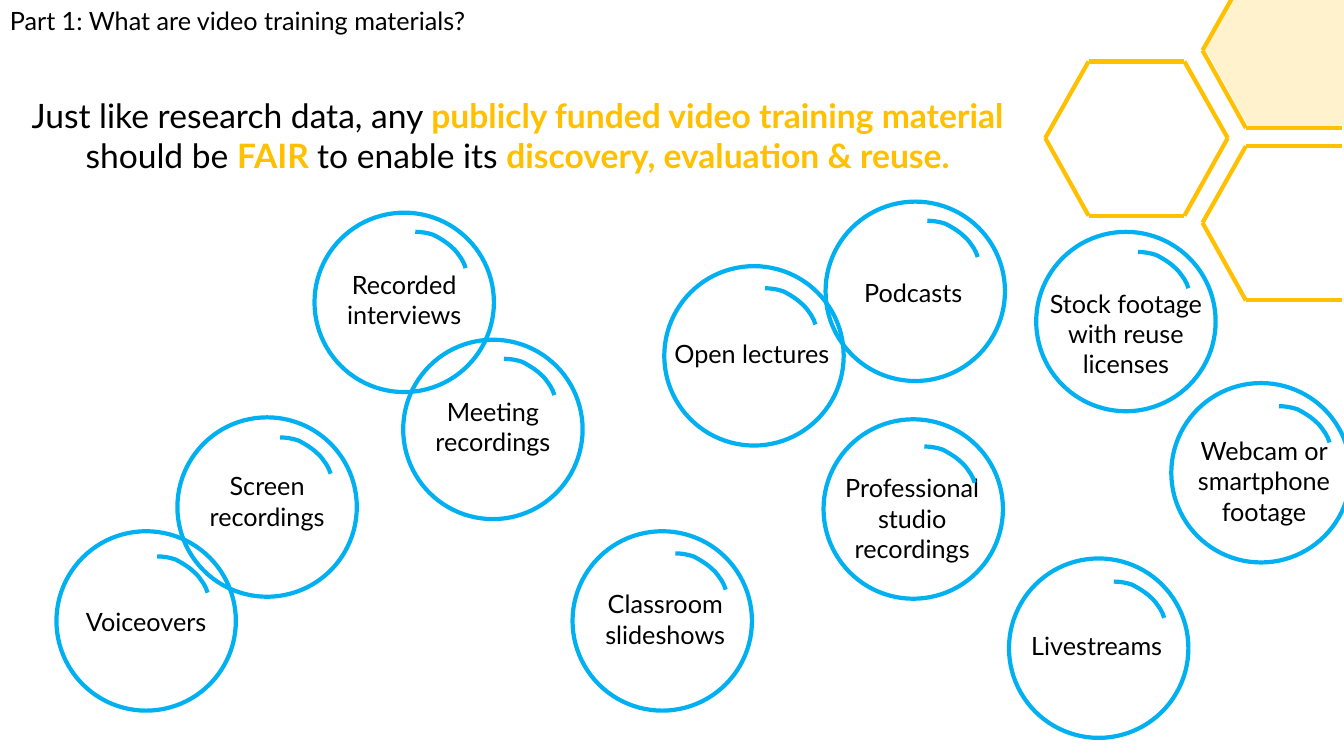
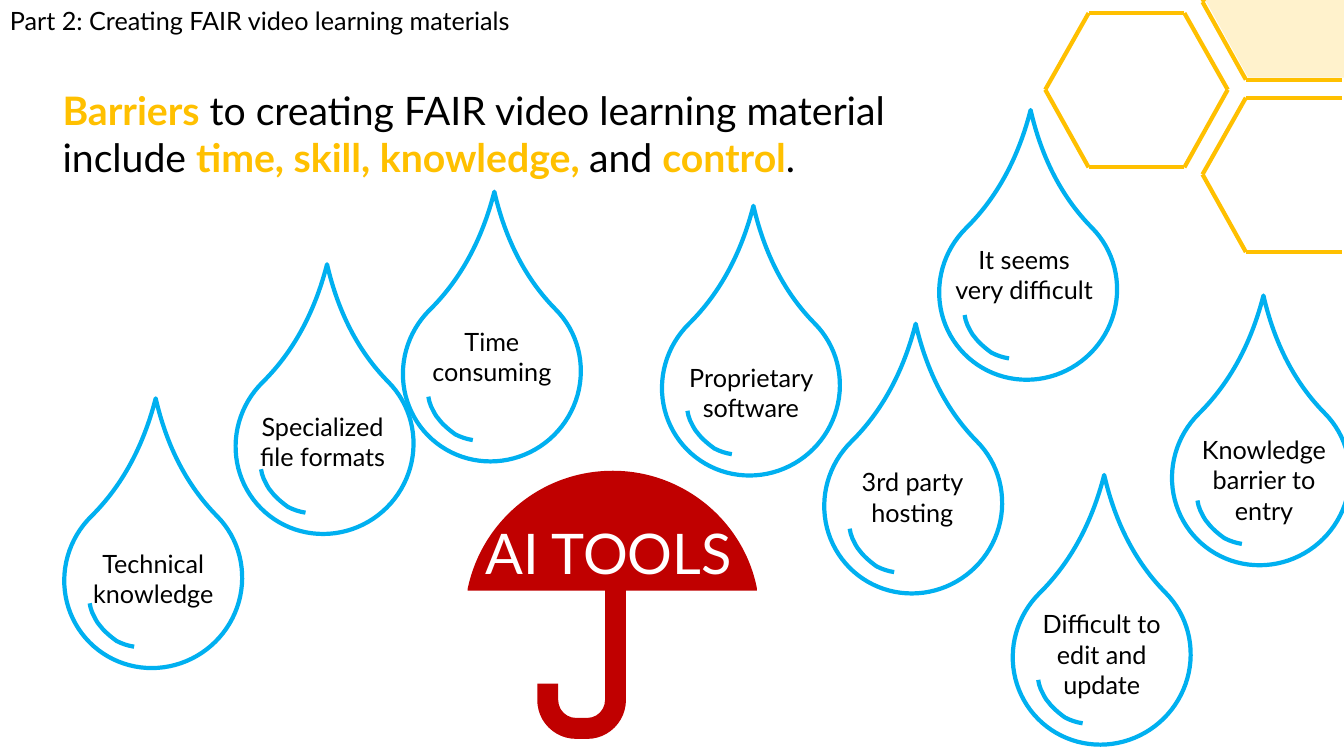
import lxml.etree
import pptx
import pptx.dml.color
import pptx.enum.shapes
import pptx.enum.text
import pptx.oxml.ns
import pptx.util

Inches = pptx.util.Inches
RGBColor = pptx.dml.color.RGBColor
qn = pptx.oxml.ns.qn
SHAPE = pptx.enum.shapes.MSO_SHAPE
ALIGN = pptx.enum.text.PP_ALIGN
AUTO = pptx.enum.text.MSO_AUTO_SIZE

BLACK = RGBColor(0x00, 0x00, 0x00)
WHITE = RGBColor(0xFF, 0xFF, 0xFF)
GOLD = RGBColor(0xFF, 0xC0, 0x00)
CREAM = RGBColor(0xFF, 0xF2, 0xCC)
BLUE = RGBColor(0x00, 0xB0, 0xF0)
RED = RGBColor(0xC0, 0x00, 0x00)

FONT = "Lato"
LINE_WIDTH = 3
BUBBLE = 1.78
DROP_W, DROP_H = 1.78, 1.75
DROP_LABEL_W = 1.59

# Outlines in inches: a start, then segments of one point (line)
# or three points (cubic curve)
GLINT = ((0, 0), [
    [(0.06, 0), (0.12, 0.01), (0.18, 0.03)],
    [(0.24, 0.06), (0.32, 0.11), (0.36, 0.15)],
    [(0.41, 0.19), (0.43, 0.23), (0.46, 0.27)],
    [(0.48, 0.3), (0.49, 0.33), (0.5, 0.36)],
])
CANOPY = ((1.44, 0), [
    [(2.14, 0), (2.74, 0.5), (2.87, 1.17)],
    [(2.87, 1.19)],
    [(0, 1.19)],
    [(0, 1.17)],
    [(0.14, 0.5), (0.73, 0), (1.44, 0)],
])

# Hexagon corners clockwise from top left, relative to its box
HEX_CORNERS = [(0.43, 0), (1.38, 0), (1.81, 0.76),
               (1.38, 1.53), (0.43, 1.53), (0, 0.76)]
# Left, offset from the comb's top, and the edges that are drawn
HEXAGONS = [(11.93, -0.87, (3, 4, 5)),
            (11.93, 0.84, (0, 3, 4, 5)),
            (10.37, 0, range(6))]

# Text, left, top, label offset right and down, glint offset right and down
BUBBLES = [
    ("Open lectures", 6.59, 2.64, -0.02, 0.67, 1, 0.22),
    ("Meeting recordings", 4, 3.37, 0, 0.51, 1, 0.19),
    ("Podcasts", 8.19, 2, -0.02, 0.7, 1.01, 0.19),
    ("Stock footage with reuse licenses", 10.28, 2.3, 0, 0.51, 1.01, 0.2),
    ("Screen recordings", 1.76, 4.14, 0, 0.48, 1.02, 0.2),
    ("Voiceovers", 0.56, 5.27, 0, 0.7, 1, 0.25),
    ("Webcam or smartphone footage", 11.62, 3.8, 0.03, 0.47, 1.07, 0.23),
    ("Classroom slideshows", 5.68, 5.27, 0.03, 0.52, 1.02, 0.22),
    ("Livestreams", 10.01, 5.54, -0.02, 0.66, 1.04, 0.23),
    ("Professional studio recordings", 8.17, 4.16, -0.01, 0.48, 1, 0.27),
    ("Recorded interviews", 3.12, 2.11, 0, 0.51, 1, 0.19),
]

# Text, left, top, label offset right and down
DROPS = [
    ("Time consuming", 3.99, 2.82, 0, 0.37),
    ("Proprietary software", 6.56, 2.96, 0, 0.58),
    ("3rd party hosting", 8.17, 4.13, -0.01, 0.45),
    ("Specialized file formats", 2.33, 3.54, -0.02, 0.49),
    ("Technical knowledge", 0.63, 4.87, 0, 0.52),
    ("It seems very difficult", 9.31, 2.01, -0.04, 0.36),
    ("Knowledge barrier to entry", 11.62, 3.85, 0.03, 0.41),
    ("Difficult to edit and update", 10.04, 5.63, 0, 0.36),
]


def write(tf, runs, size, align=ALIGN.LEFT):
    """Fill a text frame with (text, colour, bold) runs."""
    tf.word_wrap = True
    p = tf.paragraphs[0]
    p.alignment = align
    for text, colour, bold in runs:
        r = p.add_run()
        r.text = text
        values = {"name": FONT, "size": pptx.util.Pt(size), "bold": bold}
        for key, value in values.items():
            setattr(r.font, key, value)
        r.font.color.rgb = colour


def add_text(shapes, box, text, size=18, colour=BLACK, align=ALIGN.CENTER):
    sp = shapes.add_textbox(*map(Inches, box))
    write(sp.text_frame, [(text, colour, False)], size, align)
    sp.text_frame.auto_size = AUTO.SHAPE_TO_FIT_TEXT


def paint(sp, fill=None, line=None):
    sp.shadow.inherit = False
    if fill is None:
        sp.fill.background()
    else:
        sp.fill.solid()
        sp.fill.fore_color.rgb = fill
    if line is None:
        sp.line.fill.background()
    else:
        sp.line.color.rgb = line
        sp.line.width = pptx.util.Pt(LINE_WIDTH)


def add_preset(shapes, kind, box, fill=None, line=None, rotation=0, adjust=()):
    sp = shapes.add_shape(kind, *map(Inches, box))
    for i, value in enumerate(adjust):
        sp.adjustments[i] = value
    sp.rotation = rotation
    paint(sp, fill, line)


def add_outline(shapes, outline, x, y, fill=None, line=None, rotation=0):
    """Draw an outline at (x, y), turning three-point segments into curves."""
    start, segments = outline
    points = [start] + [point for segment in segments for point in segment]
    emu = [(Inches(x + px), Inches(y + py)) for px, py in points]
    builder = shapes.build_freeform(*emu[0])
    builder.add_line_segments(emu[1:], close=fill is not None)
    sp = builder.convert_to_shape()
    steps = iter(list(sp._element.iter(qn("a:lnTo"))))
    for segment in segments:
        first, *others = [next(steps) for _ in segment]
        if others:
            first.tag = qn("a:cubicBezTo")
        for step in others:
            first.append(step[0])
            step.getparent().remove(step)
    sp.rotation = rotation
    paint(sp, fill, line)


def add_heading(s, part, part_w, box, runs, size, align=ALIGN.LEFT):
    """Running part name at the top and the statement as slide title."""
    add_text(s.shapes, (0, 0, part_w, 0.4), part, align=ALIGN.LEFT)
    title = s.shapes.title
    for key, value in zip(("left", "top", "width", "height"), box):
        setattr(title, key, Inches(value))
    tf = title.text_frame
    tf.vertical_anchor = pptx.enum.text.MSO_ANCHOR.TOP
    tf.auto_size = AUTO.NONE
    write(tf, [(text, GOLD if strong else BLACK, strong)
               for text, strong in runs], size, align)


def add_honeycomb(s, top):
    add_preset(s.shapes, SHAPE.HEXAGON, (11.96, top - 0.89, 1.82, 1.53),
               fill=CREAM, adjust=(0.277,))
    for left, dy, edges in HEXAGONS:
        shapes = s.shapes.add_group_shape().shapes
        corners = [(Inches(left + x), Inches(top + dy + y))
                   for x, y in HEX_CORNERS]
        for i in edges:
            c = shapes.add_connector(
                pptx.enum.shapes.MSO_CONNECTOR.STRAIGHT,
                *corners[i], *corners[(i + 1) % 6])
            c.line.color.rgb = GOLD
            c.line.width = pptx.util.Pt(LINE_WIDTH)
            lxml.etree.SubElement(c._element.spPr, qn("a:effectLst"))


def add_bubble(s, text, x, y, label_dx, label_dy, glint_dx, glint_dy):
    shapes = s.shapes.add_group_shape().shapes
    add_text(shapes, (x + label_dx, y + label_dy, BUBBLE, 0.71), text)
    add_preset(shapes, SHAPE.OVAL, (x, y, BUBBLE, BUBBLE), line=BLUE)
    add_outline(shapes, GLINT, x + glint_dx, y + glint_dy, line=BLUE)


def add_drop(s, text, x, y, label_dx, label_dy):
    shapes = s.shapes.add_group_shape().shapes
    label_x = x + (DROP_W - DROP_LABEL_W) / 2 + label_dx
    add_text(shapes, (label_x, y + label_dy, DROP_LABEL_W, 0.71), text)
    add_outline(shapes, GLINT, x + 0.23, y + 1.15, line=BLUE, rotation=188.6)
    add_preset(shapes, SHAPE.TEAR, (x, y, DROP_W, DROP_H), line=BLUE,
               rotation=315.3, adjust=(1.437,))


def add_umbrella(s, x, y):
    shapes = s.shapes.add_group_shape().shapes
    add_outline(shapes, CANOPY, x, y, fill=RED)
    add_preset(shapes, SHAPE.U_TURN_ARROW, (x + 0.69, y + 0.89, 0.88, 1.77),
               fill=RED, rotation=180, adjust=(0.25, 0.118, 0, 0.438, 0.31))
    add_text(shapes, (x + 0.01, y + 0.43, 2.78, 0.77), "AI TOOLS", 40, WHITE)


def build_materials(prs):
    s = prs.slides.add_slide(prs.slide_layouts[5])
    add_heading(s, "Part 1: What are video training materials?", 10.8,
                (0.17, 0.89, 9.93, 0.91), [
                    ("Just like research data, any ", False),
                    ("publicly funded video training material ", True),
                    ("should be ", False),
                    ("FAIR ", True),
                    ("to enable its ", False),
                    ("discovery, evaluation & reuse.", True),
                ], 24, ALIGN.CENTER)
    add_honeycomb(s, 0.61)
    for bubble in BUBBLES:
        add_bubble(s, *bubble)


def build_barriers(prs):
    s = prs.slides.add_slide(prs.slide_layouts[5])
    add_heading(s, "Part 2: Creating FAIR video learning materials", 5.92,
                (0.52, 0.81, 9.27, 1.04), [
                    ("Barriers", True),
                    (" to creating FAIR video learning material include ",
                     False),
                    ("time, skill, knowledge, ", True),
                    ("and ", False),
                    ("control", True),
                    (".", False),
                ], 28)
    add_honeycomb(s, 0.13)
    for drop in DROPS:
        add_drop(s, *drop)
    add_umbrella(s, 4.64, 4.67)


def main():
    prs = pptx.Presentation()
    prs.slide_width, prs.slide_height = Inches(40 / 3), Inches(7.5)
    build_materials(prs)
    build_barriers(prs)
    prs.save("out.pptx")


if __name__ == "__main__":
    main()
